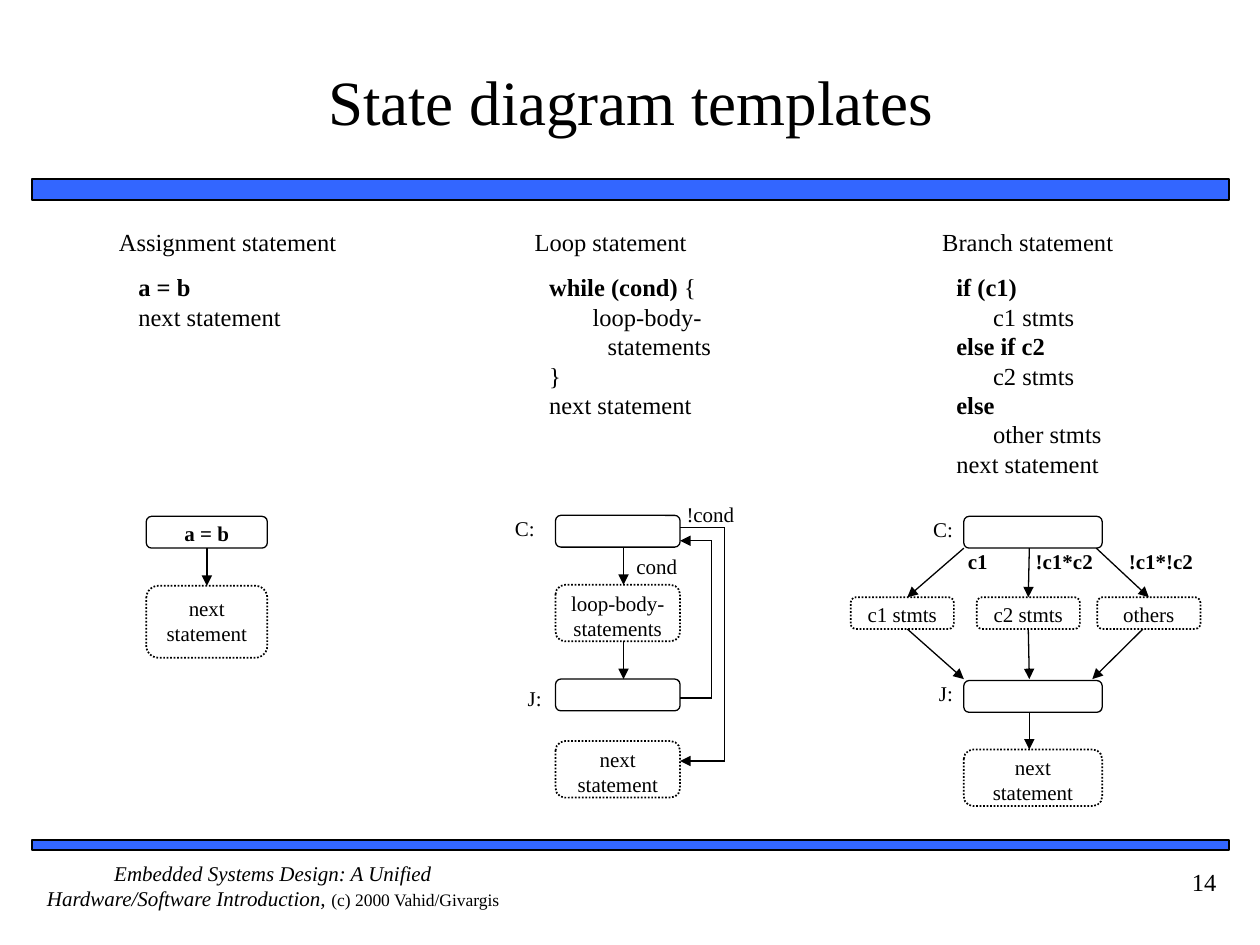
from dataclasses import dataclass

from lxml import etree
from pptx import Presentation
from pptx.dml.color import RGBColor
from pptx.enum.dml import MSO_LINE
from pptx.enum.shapes import MSO_CONNECTOR, MSO_SHAPE
from pptx.enum.text import MSO_ANCHOR, PP_ALIGN
from pptx.oxml.ns import qn
from pptx.util import Cm, Pt

LEFT, CENTER, RIGHT = PP_ALIGN.LEFT, PP_ALIGN.CENTER, PP_ALIGN.RIGHT
TOP, MIDDLE = MSO_ANCHOR.TOP, MSO_ANCHOR.MIDDLE
RECTANGLE, ROUNDED = MSO_SHAPE.RECTANGLE, MSO_SHAPE.ROUNDED_RECTANGLE
STRAIGHT, DOTTED = MSO_CONNECTOR.STRAIGHT, MSO_LINE.ROUND_DOT
FONT, BLACK, WHITE, BLUE = "Times New Roman", "000000", "FFFFFF", "3366FF"
TOP_SIDE, BOTTOM_SIDE = 0, 2
STATE_HEIGHT, BLOCK_HEIGHT = 0.64, 1.14


@dataclass
class Box:
    """An area in centimetres."""
    left: float
    top: float
    width: float
    height: float

    def inner(self, left, top, width, height):
        return Box(self.left + left, self.top + top, width, height)

    def lengths(self):
        return [Cm(v) for v in (self.left, self.top, self.width, self.height)]


def color(hex_text):
    return RGBColor.from_string(hex_text)


def style(font, size, bold=False, italic=False):
    font.name, font.size = FONT, Pt(size)
    font.bold, font.italic = bold, italic
    font.color.rgb = color(BLACK)


def set_frame(frame, insets=(0, 0, 0, 0), anchor=TOP, wrap=True):
    frame.word_wrap, frame.vertical_anchor = wrap, anchor
    (frame.margin_left, frame.margin_top,
     frame.margin_right, frame.margin_bottom) = [Cm(v) for v in insets]


def write(frame, lines, size, align=LEFT):
    """Each line is a pair: its bold part, then its plain part."""
    for number, line in enumerate(lines):
        para = frame.add_paragraph() if number else frame.paragraphs[0]
        para.alignment = align
        for text, bold in zip(line, (True, False)):
            if text:
                span = para.add_run()
                span.text = text
                style(span.font, size, bold)


def add_text(page, box, lines, size, align=LEFT, **frame_options):
    frame = page.shapes.add_textbox(*box.lengths()).text_frame
    set_frame(frame, **frame_options)
    write(frame, lines, size, align)
    return frame


def add_panel(page, box, kind, fill, width):
    panel = page.shapes.add_shape(kind, *box.lengths())
    panel.shadow.inherit = False
    panel.fill.solid()
    panel.fill.fore_color.rgb = color(fill)
    panel.line.color.rgb = color(BLACK)
    panel.line.width = Pt(width)
    return panel


def add_state(page, box, lines=(), dotted=False, inset_top=0.05):
    state = add_panel(page, box, ROUNDED, WHITE, 1 if dotted else 0.75)
    if dotted:
        state.line.dash_style = DOTTED
    set_frame(state.text_frame, (0.25, inset_top, 0.25, 0.13))
    write(state.text_frame, lines, 12, CENTER)
    return state


def add_path(page, box, *points, begin=None, end=None):
    """Draw lines through points, with an arrowhead on the last one."""
    places = [(Cm(box.left + x), Cm(box.top + y)) for x, y in points]
    for start, stop in zip(places, places[1:]):
        line = page.shapes.add_connector(STRAIGHT, *start, *stop)
        line.line.color.rgb = color(BLACK)
        line.line.width = Pt(0.75)
        if stop == places[-1]:
            outline = line.line._get_or_add_ln()
            etree.SubElement(outline, qn("a:tailEnd"), type="triangle")
        etree.SubElement(line._element.spPr, qn("a:effectLst"))
        if begin is not None:
            line.begin_connect(begin, BOTTOM_SIDE)
        if end is not None:
            line.end_connect(end, TOP_SIDE)


def add_opening(page, box, heading, code, code_left):
    """Heading and code at the top of a column."""
    add_text(page, box.inner(0, 0, box.width, 0.64), [("", heading)], 14, CENTER)
    code_box = box.inner(code_left, 0.92, 3.71, 0.53 * len(code))
    add_text(page, code_box, code, 14)


def add_label(page, box, left, top, width, line, align=LEFT):
    add_text(page, box.inner(left, top, width, 0.5), [line], 12, align,
             insets=(0, 0, 0.05 if align == RIGHT else 0, 0), wrap=False)


def add_assignment(page, box):
    add_opening(page, box, "Assignment statement",
                [("a = b", ""), ("", "next statement")], 1.95)
    first = add_state(page, box.inner(2.11, 5.84, 2.44, STATE_HEIGHT), [("a = b", "")])
    following = add_state(page, box.inner(2.11, 7.24, 2.44, 1.45),
                          [("", "next statement")], True, 0.13)
    add_path(page, box, (3.33, 6.48), (3.33, 7.24), begin=first, end=following)


def add_loop(page, box):
    add_opening(page, box, "Loop statement",
                [("while (cond)", " {"), ("", "  loop-body-"),
                 ("", "      statements"), ("", "}"), ("", "next statement")], 2.51)
    # The two centred lines of the loop body
    for para in page.shapes[-1].text_frame.paragraphs[1:3]:
        para.alignment = CENTER
    left, width = 2.64, 2.51
    edge = left + width
    for top in (5.82, 9.12):
        add_state(page, box.inner(left, top, width, STATE_HEIGHT))
    for top, lines in ((7.22, [("", "loop-body-"), ("", "statements")]),
                       (10.37, [("", "next statement")])):
        add_state(page, box.inner(left, top, width, BLOCK_HEIGHT), lines, True)
    # Downward steps, the way back and the way out
    for start, stop in ((6.46, 7.22), (8.36, 9.12)):
        add_path(page, box, (4.01, start), (4.01, stop))
    for turn, start, stop in ((5.79, 9.5, 6.33), (6.05, 6.07, 10.77)):
        add_path(page, box, (edge, start), (turn, start), (turn, stop), (edge, stop))
    add_label(page, box, 4.27, 6.58, 1.17, ("", "cond"))
    add_label(page, box, 5.28, 5.54, 1.04, ("", "!cond"))
    add_label(page, box, 1.65, 5.82, 0.62, ("", "C:"), RIGHT)
    add_label(page, box, 1.65, 9.25, 0.76, ("", "J:"), RIGHT)


def add_branch(page, box):
    add_opening(page, box, "Branch statement",
                [("if (c1)", ""), ("", "      c1 stmts"),
                 ("else if c2", ""), ("", "      c2 stmts"),
                 ("else", ""), ("", "      other stmts"),
                 ("", "next statement")], 2.31)
    left, width = 2.46, 2.79
    for top, name in ((5.84, "C:"), (9.15, "J:")):
        add_state(page, box.inner(left, top, width, STATE_HEIGHT))
        add_label(page, box, 1.27, top, 1.02, ("", name), RIGHT)
    add_state(page, box.inner(left, 10.54, width, BLOCK_HEIGHT),
              [("", "next statement")], True)
    # Each branch: text, left, condition, its left, arrow from, to, out from, to
    branches = (("c1 stmts", 0.18, "c1", 2.54, 2.46, 1.32, 1.32, 2.46),
                ("c2 stmts", 2.72, "!c1*c2", 3.91, 3.78, 3.76, 3.76, 3.78),
                ("others", 5.15, "!c1*!c2", 5.79, 5.13, 6.19, 6.07, 5.05))
    for text, place, condition, label_left, start, into, out, stop in branches:
        state = add_state(page, box.inner(place, 7.47, 2.08, STATE_HEIGHT),
                          [("", text)], True)
        middle = round(place + 1.04, 2)
        add_label(page, box, label_left, 6.48, 1.68, (condition, ""))
        add_path(page, box, (start, 6.48), (into, 7.47),
                 end=state if into == middle else None)
        add_path(page, box, (out, 8.11), (stop, 9.12),
                 begin=state if out == middle else None)
    add_path(page, box, (3.78, 9.79), (3.78, 10.54))


def add_page_frame(page, box):
    """Title, bars, footer and page number."""
    for top, height in ((3.61, 0.43), (16.94, 0.2)):
        add_panel(page, box.inner(0, top, box.width, height), RECTANGLE, BLUE, 1)
    title = page.shapes.title
    title.left, title.top, title.width, title.height = box.inner(
        0.43, 0.43, 23.29, 3.18).lengths()
    set_frame(title.text_frame, (0, 0.13, 0, 0.13), MIDDLE)
    write(title.text_frame, [("", "State diagram templates")], 36, CENTER)
    footer = add_text(page, box.inner(0, 17.35, 9.73, 1.27), [(
        "Embedded Systems Design: A Unified Hardware/Software Introduction, ",
        "(c) 2000 Vahid/Givargis")], 12, CENTER)
    book, rights = footer.paragraphs[0].runs
    style(book.font, 12, italic=True)
    style(rights.font, 10)
    add_text(page, box.inner(21.59, 17.35, 2.54, 1.27), [("", "14")], 14, RIGHT,
             insets=(0.25, 0.13, 0.25, 0.13))


def main():
    deck = Presentation()
    deck.slide_width, deck.slide_height = Cm(25.4), Cm(19.05)
    page = deck.slides.add_slide(deck.slide_layouts[5])
    add_page_frame(page, Box(0.64, 0, 24.13, 19.05))
    columns = ((add_assignment, 0.84), (add_loop, 8.56), (add_branch, 16.97))
    for add_column, left in columns:
        add_column(page, Box(left, 4.57, 7.5, 11.7))
    deck.save("out.pptx")


if __name__ == "__main__":
    main()
